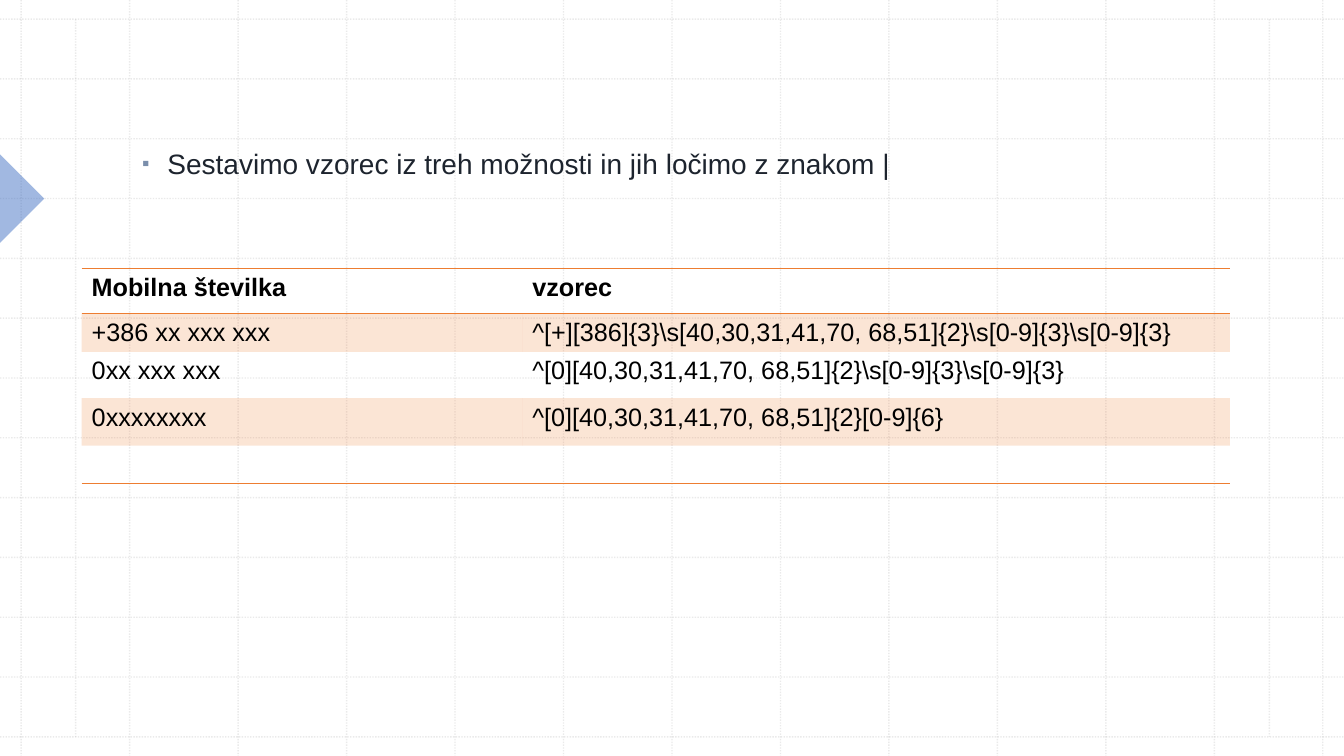
from dataclasses import dataclass

from lxml import etree
from pptx import Presentation
from pptx.dml.color import RGBColor
from pptx.enum.dml import MSO_LINE_DASH_STYLE as Dash
from pptx.enum.shapes import MSO_CONNECTOR as Connector, MSO_SHAPE as Shape
from pptx.oxml.ns import qn
from pptx.util import Inches, Pt

WIDTH, HEIGHT = 13.33, 7.5
CONTENT_LAYOUT = 1
NO_STYLE_TABLE = "{2D5ABB26-0587-4C30-8999-92F81FD0307C}"


@dataclass(frozen=True)
class Theme:
    """Colours, font and type sizes of the slide."""
    font: str = "Arial"
    statement_size: int = 20
    table_size: int = 18
    ink: str = "1D242E"
    table_ink: str = "000000"
    bullet: str = "7A8EAB"
    grid: str = "BCBCBC"
    marker: str = "4472C4"
    accent: str = "ED7D31"


def add_xml(parent, tag, **attributes):
    """Append a drawing element and return it."""
    return etree.SubElement(parent, qn(tag), attributes)


def set_color(color_format, color, opacity=100):
    """Set a colour, with its opacity in percent."""
    color_format.rgb = RGBColor.from_string(color)


def set_opacity(properties, percent):
    """Make the solid colour inside an element translucent."""
    color = next(properties.iter(qn("a:srgbClr")))
    add_xml(color, "a:alpha", val=str(percent * 1000))


class SlideBuilder:
    """Holds the theme and the slide, and adds elements to it."""

    def __init__(self, slide, theme):
        """Keep the slide and its theme."""
        self.slide, self.theme = slide, theme

    def format_text(self, paragraph, size, color, bold=False):
        """Apply the font to a whole paragraph."""
        font = paragraph.font
        font.name, font.size, font.bold = self.theme.font, Pt(size), bold
        font.color.rgb = RGBColor.from_string(color)

    def grid_line(self, x1, y1, x2, y2):
        """Add one dotted background line."""
        line = self.slide.shapes.add_connector(
            Connector.STRAIGHT, Inches(x1), Inches(y1), Inches(x2), Inches(y2))
        line.line.color.rgb = RGBColor.from_string(self.theme.grid)
        line.line.width = Pt(1)
        line.line.dash_style = Dash.ROUND_DOT
        properties = line._element.spPr
        set_opacity(properties, 30)
        add_xml(properties, "a:effectLst")

    def background_grid(self, left=0.21, top=0.19, steps=12):
        """Add the even grid and the two margin lines."""
        right, bottom = WIDTH - left, HEIGHT - top
        for step in range(steps + 1):
            x = left + step * (right - left) / steps
            y = top + step * (bottom - top) / steps
            self.grid_line(x, 0, x, HEIGHT)
            self.grid_line(0, y, WIDTH, y)
        for x in (0.75, 12.59):
            self.grid_line(x, top, x, bottom)

    def edge_marker(self, left, top, side):
        """Add the translucent triangle that points in from the left edge."""
        marker = self.slide.shapes.add_shape(
            Shape.RIGHT_TRIANGLE, Inches(left), Inches(top), Inches(side), Inches(side))
        marker.rotation = 225
        marker.shadow.inherit = False
        marker.fill.solid()
        marker.fill.fore_color.rgb = RGBColor.from_string(self.theme.marker)
        set_opacity(marker._element.spPr, 50)
        marker.line.fill.background()

    def statement(self, text, left, top, width, height):
        """Place the bulleted statement in the body placeholder."""
        body = self.slide.placeholders[1]
        body.left, body.top = Inches(left), Inches(top)
        body.width, body.height = Inches(width), Inches(height)
        paragraph = body.text_frame.paragraphs[0]
        paragraph.text = text
        paragraph.line_spacing, paragraph.space_before = 1.1, Pt(10)
        properties = paragraph._p.get_or_add_pPr()
        properties.set("marL", str(Inches(0.25)))
        properties.set("indent", str(-Inches(0.25)))
        add_xml(add_xml(properties, "a:buClr"), "a:srgbClr", val=self.theme.bullet)
        add_xml(properties, "a:buSzPct", val="75000")
        add_xml(properties, "a:buFont", typeface=self.theme.font)
        add_xml(properties, "a:buChar", char="▪")
        self.format_text(paragraph, self.theme.statement_size, self.theme.ink)

    def cell_border(self, cell, side):
        """Draw an accent line on one side of a cell."""
        border = add_xml(cell._tc.get_or_add_tcPr(), side, w=str(Pt(1)))
        add_xml(add_xml(border, "a:solidFill"), "a:srgbClr", val=self.theme.accent)

    def pattern_table(self, rows, left, top, widths, heights):
        """Add the table with ruled header, banded rows and a closing rule."""
        table = self.slide.shapes.add_table(
            len(rows), len(widths), Inches(left), Inches(top),
            Inches(sum(widths)), Inches(sum(heights))).table
        table._tbl.tblPr.find(qn("a:tableStyleId")).text = NO_STYLE_TABLE
        table.first_row = table.horz_banding = False
        for column, width in zip(table.columns, widths):
            column.width = Inches(width)
        for index, (texts, height) in enumerate(zip(rows, heights)):
            table.rows[index].height = Inches(height)
            for cell, text in zip(table.rows[index].cells, texts):
                cell.text = text
                self.format_text(cell.text_frame.paragraphs[0], self.theme.table_size,
                                 self.theme.table_ink, bold=index == 0)
                if index == 0:
                    self.cell_border(cell, "a:lnT")
                if index in (0, len(rows) - 1):
                    self.cell_border(cell, "a:lnB")
                if index % 2:
                    cell.fill.solid()
                    cell.fill.fore_color.rgb = RGBColor.from_string(self.theme.accent)
                    set_opacity(cell._tc.tcPr, 20)
                else:
                    cell.fill.background()


PATTERNS = [
    ("Mobilna številka", "vzorec"),
    ("+386 xx xxx xxx", r"^[+][386]{3}\s[40,30,31,41,70, 68,51]{2}\s[0-9]{3}\s[0-9]{3}"),
    ("0xx xxx xxx", r"^[0][40,30,31,41,70, 68,51]{2}\s[0-9]{3}\s[0-9]{3}"),
    ("0xxxxxxxx", "^[0][40,30,31,41,70, 68,51]{2}[0-9]{6}"),
    ("", ""),
]


def main():
    """Build and save the slide."""
    deck = Presentation()
    deck.slide_width, deck.slide_height = Inches(WIDTH), Inches(HEIGHT)
    slide = deck.slides.add_slide(deck.slide_layouts[CONTENT_LAYOUT])
    empty_title = slide.shapes.title._element
    empty_title.getparent().remove(empty_title)

    builder = SlideBuilder(slide, Theme())
    builder.background_grid()
    builder.edge_marker(-0.31, 1.66, 0.62)
    builder.statement("Sestavimo vzorec iz treh možnosti in jih ločimo z znakom |",
                      1.31, 1.37, 11.29, 3.9)
    builder.pattern_table(PATTERNS, 0.81, 2.66, widths=(4.37, 7.02),
                          heights=(0.45, 0.38, 0.46, 0.47, 0.38))
    deck.save("out.pptx")


main()
